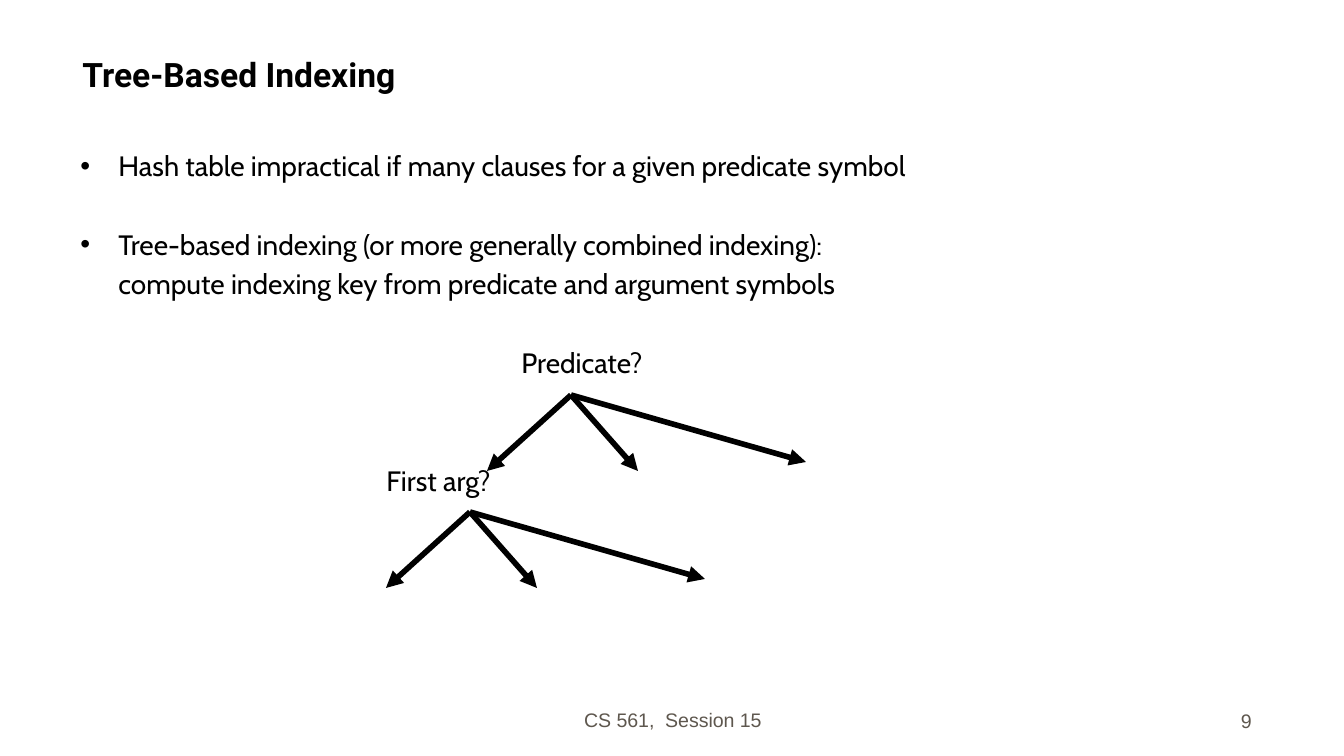
"""Build the Tree-Based Indexing slide."""
from lxml.etree import SubElement
from pptx import Presentation
from pptx.dml.color import RGBColor
from pptx.enum.shapes import MSO_CONNECTOR
from pptx.enum.text import MSO_ANCHOR, MSO_AUTO_SIZE, PP_ALIGN
from pptx.oxml.ns import qn
from pptx.util import Pt

THEME = {
    "title": {"name": "Roboto", "size": Pt(18), "bold": True, "color": "000000"},
    "body": {"name": "Cabin", "size": Pt(15), "bold": False, "color": "000000"},
    "footer": {"name": "Arial", "size": Pt(10.5), "bold": False, "color": "5E574E"},
    "line": "000000",
    "line_width": Pt(3),
}

TITLE = "Tree-Based Indexing"
BODY = [
    {"text": "Hash table impractical if many clauses for a given predicate symbol",
     "left": 38, "before": 0, "bullet": True},
    {"text": "Tree-based indexing (or more generally combined indexing):",
     "left": 38, "before": 24.2, "bullet": True},
    {"text": "compute indexing key from predicate and argument symbols",
     "left": 38, "before": 3, "bullet": False},
    {"text": "Predicate?", "left": 441, "before": 24.2, "bullet": False},
    {"text": "First arg?", "left": 306, "before": 45.4, "bullet": False},
]
FOOTERS = [
    ("CS 561,  Session 15", (460, 687, 426, 51), PP_ALIGN.CENTER),
    ("9", (985, 688, 280, 51), PP_ALIGN.RIGHT),
]
TITLE_AREA = (69, 26, 1199, 75)
BODY_AREA = (67, 142, 1202, 526)
TREE_ROOTS = [(571, 395), (470, 512)]
BRANCHES = [(-84, 76), (67, 76), (235, 67)]


def px(length):
    """Convert pixels to EMU."""
    return round(length * 914400 / 134.4)


def place(box, area, anchor):
    """Position a text shape and set how its frame behaves."""
    for name, value in zip(("left", "top", "width", "height"), area):
        setattr(box, name, px(value))
    frame_format = {"word_wrap": True, "auto_size": MSO_AUTO_SIZE.NONE,
                    "vertical_anchor": anchor}
    for name, value in frame_format.items():
        setattr(box.text_frame, name, value)


def write(para, text, style, align=PP_ALIGN.LEFT):
    """Add one formatted run to a paragraph."""
    para.alignment = align
    span = para.add_run()
    span.text = text
    for name in ("name", "size", "bold"):
        setattr(span.font, name, style[name])
    span.font.color.rgb = RGBColor.from_string(style["color"])


def set_bullet(para, left, bullet):
    """Set the indent of a paragraph and its bullet, if any."""
    properties = para._p.get_or_add_pPr()
    properties.set("marL", str(px(left)))
    properties.set("indent", str(-px(left) if bullet else 0))
    if bullet:
        color = SubElement(properties, qn("a:buClr"))
        SubElement(color, qn("a:srgbClr"), val=THEME["body"]["color"])
        SubElement(properties, qn("a:buFont"), typeface="Arial")
        SubElement(properties, qn("a:buChar"), char="•")
    else:
        SubElement(properties, qn("a:buNone"))


def add_arrow(slide, start, end):
    """Draw a straight arrow between two points."""
    arrow = slide.shapes.add_connector(
        MSO_CONNECTOR.STRAIGHT, *map(px, (*start, *end)))
    arrow.line.color.rgb = RGBColor.from_string(THEME["line"])
    arrow.line.width = THEME["line_width"]
    SubElement(arrow.line._get_or_add_ln(), qn("a:tailEnd"), type="triangle")
    SubElement(arrow._element.spPr, qn("a:effectLst"))


def main():
    """Assemble and save the deck."""
    deck = Presentation()
    deck.slide_width, deck.slide_height = px(1344), px(756)
    slide = deck.slides.add_slide(deck.slide_layouts[1])

    for text, area, align in FOOTERS:
        box = slide.shapes.add_textbox(0, 0, 0, 0)
        place(box, area, MSO_ANCHOR.BOTTOM)
        write(box.text_frame.paragraphs[0], text, THEME["footer"], align)

    title = slide.shapes.title
    place(title, TITLE_AREA, MSO_ANCHOR.BOTTOM)
    write(title.text_frame.paragraphs[0], TITLE, THEME["title"])

    body = slide.placeholders[1]
    place(body, BODY_AREA, MSO_ANCHOR.TOP)
    for index, item in enumerate(BODY):
        frame = body.text_frame
        para = frame.add_paragraph() if index else frame.paragraphs[0]
        set_bullet(para, item["left"], item["bullet"])
        para.space_before = Pt(item["before"])
        write(para, item["text"], THEME["body"])

    for root in TREE_ROOTS:
        for across, down in BRANCHES:
            add_arrow(slide, root, (root[0] + across, root[1] + down))

    deck.save("out.pptx")


if __name__ == "__main__":
    main()
